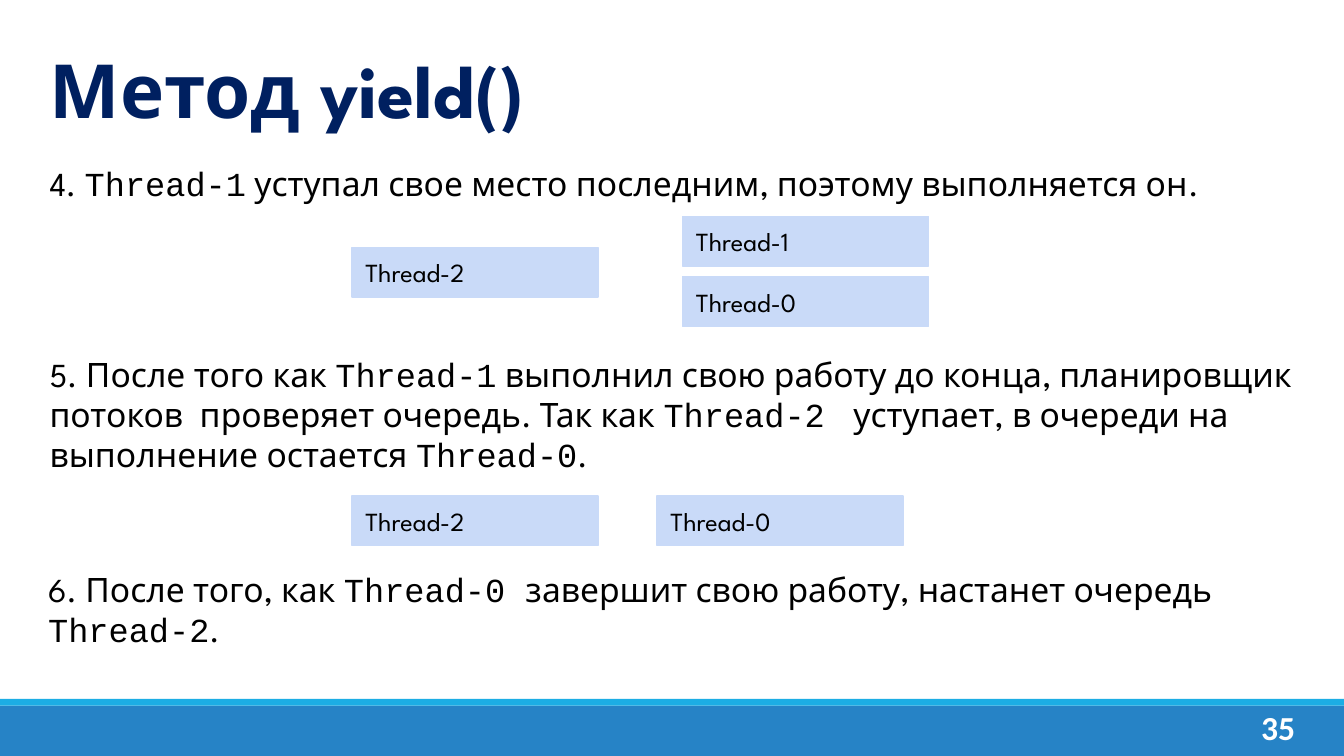
from pptx import Presentation
from pptx import util as u
from pptx.dml.color import RGBColor
from pptx.enum import shapes, text

BODY = "League Spartan"
CODE = "Courier New"
BLACK = "000000"
WHITE = "FFFFFF"
THREAD_FILL = "C9DAF8"
THREAD_SIZE = (1.83, 0.37)

TITLE = "Метод yield()"
PAGE_NUMBER = "35"
BANDS = [
    ((0, 5.25, 10, 0.38), "2683C6"),
    ((0, 5.2, 10, 0.05), "1CADE4"),
]
STEPS = [
    ((0.27, 1.11, 9.42, 0.5), [
        ("4. ", BODY),
        ("Thread-1", CODE),
        (" уступал свое место последним, поэтому выполняется он.", BODY),
    ]),
    ((0.27, 2.53, 9.75, 1.11), [
        ("5. После того как ", BODY),
        ("Thread-1", CODE),
        (" выполнил свою работу до конца, планировщик потоков  проверяет очередь. Так как ", BODY),
        ("Thread-2 ", CODE),
        (" уступает, в очереди на выполнение остается ", BODY),
        ("Thread-0", CODE),
        (".", BODY),
    ]),
    ((0.26, 4.13, 9.48, 0.81), [
        ("6. После того, как ", BODY),
        ("Thread-0 ", CODE),
        ("завершит свою работу, настанет очередь ", BODY),
        ("Thread-2", CODE),
        (".", BODY),
    ]),
]
QUEUES = [
    [("Thread-2", 2.62, 1.84), ("Thread-0", 5.08, 2.06), ("Thread-1", 5.08, 1.61)],
    [("Thread-2", 2.62, 3.69), ("Thread-0", 4.89, 3.69)],
]


def color(value):
    return RGBColor.from_string(value)


def inches(values):
    return [u.Inches(value) for value in values]


def write(shape, runs, size, ink, bold=False, inset=0.1,
          anchor=text.MSO_ANCHOR.TOP, align=text.PP_ALIGN.LEFT):
    frame = shape.text_frame
    frame.word_wrap = True
    frame.auto_size = text.MSO_AUTO_SIZE.NONE
    frame.vertical_anchor = anchor
    frame.margin_left = frame.margin_right = u.Inches(0.1)
    frame.margin_top = frame.margin_bottom = u.Inches(inset)
    para = frame.paragraphs[0]
    para.alignment = align
    for words, font in runs:
        span = para.add_run()
        span.text = words
        span.font.name = font
        span.font.size = u.Pt(size)
        span.font.bold = bold
        span.font.color.rgb = color(ink)


def add_rectangle(parent, area, fill):
    box = parent.add_shape(shapes.MSO_SHAPE.RECTANGLE, *inches(area))
    box.shadow.inherit = False
    box.fill.solid()
    box.fill.fore_color.rgb = color(fill)
    box.line.fill.background()
    return box


def add_thread(group, name, left, top):
    box = add_rectangle(group.shapes, (left, top, *THREAD_SIZE), THREAD_FILL)
    box.line.color.rgb = color(THREAD_FILL)
    box.line.width = u.Pt(0.75)
    write(box, [(name, BODY)], 14, BLACK, anchor=text.MSO_ANCHOR.MIDDLE)


def main():
    deck = Presentation()
    deck.slide_width = u.Inches(10)
    deck.slide_height = deck.slide_width * 9 // 16
    page = deck.slides.add_slide(deck.slide_layouts[5])

    for area, fill in BANDS:
        add_rectangle(page.shapes, area, fill)

    title = page.shapes.title
    title.left, title.top, title.width, title.height = inches((0.27, 0.12, 9, 1.08))
    write(title, [(TITLE, BODY)], 40, "002060", bold=True, inset=0.05,
          anchor=text.MSO_ANCHOR.MIDDLE)

    for area, runs in STEPS:
        box = page.shapes.add_textbox(*inches(area))
        write(box, runs, 18, BLACK)
        box.text_frame.auto_size = text.MSO_AUTO_SIZE.SHAPE_TO_FIT_TEXT

    for queue in QUEUES:
        group = page.shapes.add_group_shape()
        for name, left, top in queue:
            add_thread(group, name, left, top)

    number = page.shapes.add_textbox(*inches((9.27, 5.21, 0.48, 0.3)))
    write(number, [(PAGE_NUMBER, "Calibri")], 18, WHITE, bold=True, inset=0.05,
          align=text.PP_ALIGN.CENTER)

    deck.save("out.pptx")


if __name__ == "__main__":
    main()
